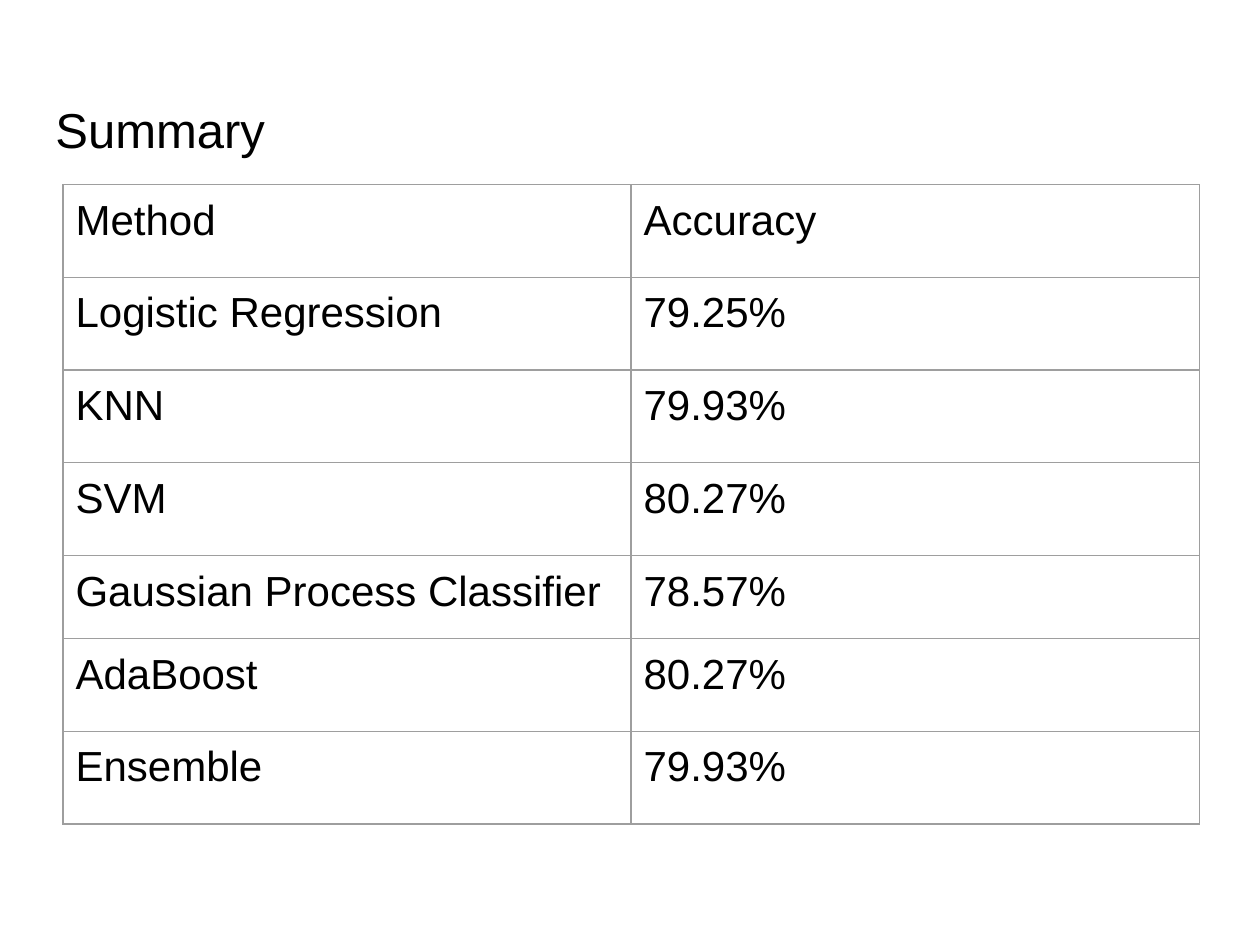
import dataclasses

import pptx
import pptx.dml.color
import pptx.enum.text
import pptx.oxml
import pptx.oxml.ns
import pptx.util

Pt = pptx.util.Pt
BLACK = pptx.dml.color.RGBColor(0x00, 0x00, 0x00)
GREY = pptx.dml.color.RGBColor(0x9E, 0x9E, 0x9E)
FONT = "Arial"
INSET = 7.2
COL_WIDTH = 324.6
TALL, SHORT = 53, 47.5


@dataclasses.dataclass
class Row:
    method: str
    score: str
    height: float = TALL


ROWS = [
    Row("Method", "Accuracy"),
    Row("Logistic Regression", "79.25%"),
    Row("KNN", "79.93%"),
    Row("SVM", "80.27%"),
    Row("Gaussian Process Classifier", "78.57%", SHORT),
    Row("AdaBoost", "80.27%"),
    Row("Ensemble", "79.93%"),
]


def write(frame, text: str, size: float) -> None:
    para = frame.paragraphs[0]
    para.alignment = pptx.enum.text.PP_ALIGN.LEFT
    run = para.add_run()
    run.text = text
    run.font.name = FONT
    run.font.size = Pt(size)
    run.font.bold = False
    run.font.color.rgb = BLACK


def pad(item, top: float = INSET) -> None:
    item.margin_left = item.margin_right = item.margin_bottom = Pt(INSET)
    item.margin_top = Pt(top)
    item.vertical_anchor = pptx.enum.text.MSO_ANCHOR.TOP


def border(cell) -> None:
    props = cell._tc.get_or_add_tcPr()
    space = pptx.oxml.ns.nsdecls("a")
    for index, side in enumerate(("lnL", "lnR", "lnT", "lnB")):
        line = pptx.oxml.parse_xml(
            f'<a:{side} {space} w="{Pt(0.75)}"><a:solidFill>'
            f'<a:srgbClr val="{GREY}"/></a:solidFill></a:{side}>'
        )
        props.insert(index, line)


deck = pptx.Presentation()
deck.slide_width, deck.slide_height = Pt(720), Pt(540)
slide = deck.slides.add_slide(deck.slide_layouts[5])

# Title
title = slide.shapes.title
title.left, title.top = Pt(24.5), Pt(46.8)
title.width, title.height = Pt(671), Pt(59.8)
frame = title.text_frame
frame.auto_size = pptx.enum.text.MSO_AUTO_SIZE.NONE
pad(frame, 10)
write(frame, "Summary", 28)

# Accuracy table
total = sum(row.height for row in ROWS)
table = slide.shapes.add_table(
    len(ROWS), 2, Pt(36), Pt(105.5), Pt(2 * COL_WIDTH), Pt(total)
).table
table.first_row = table.horz_banding = False
for column in table.columns:
    column.width = Pt(COL_WIDTH)
for index, row in enumerate(ROWS):
    table.rows[index].height = Pt(row.height)
    for cell, text in zip(table.rows[index].cells, (row.method, row.score)):
        pad(cell)
        cell.fill.background()
        border(cell)
        write(cell.text_frame, text, 24)

deck.save("out.pptx")
